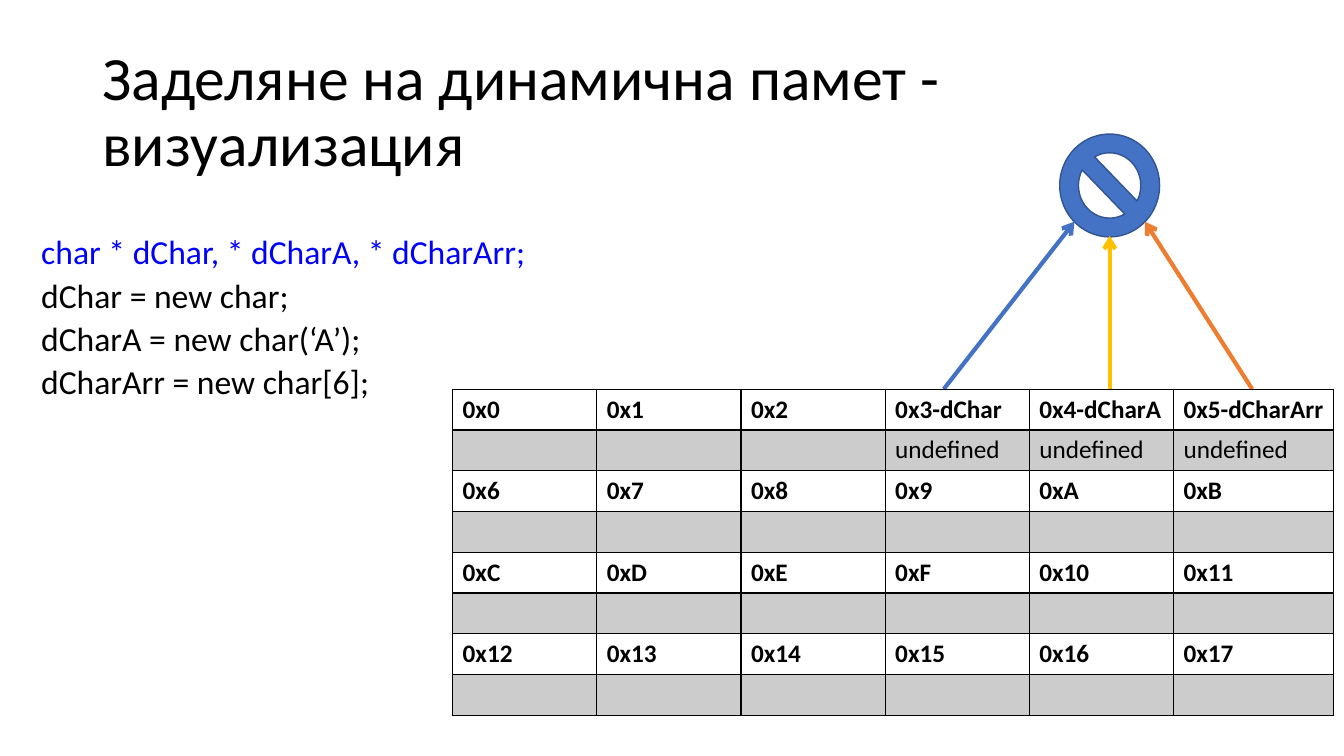
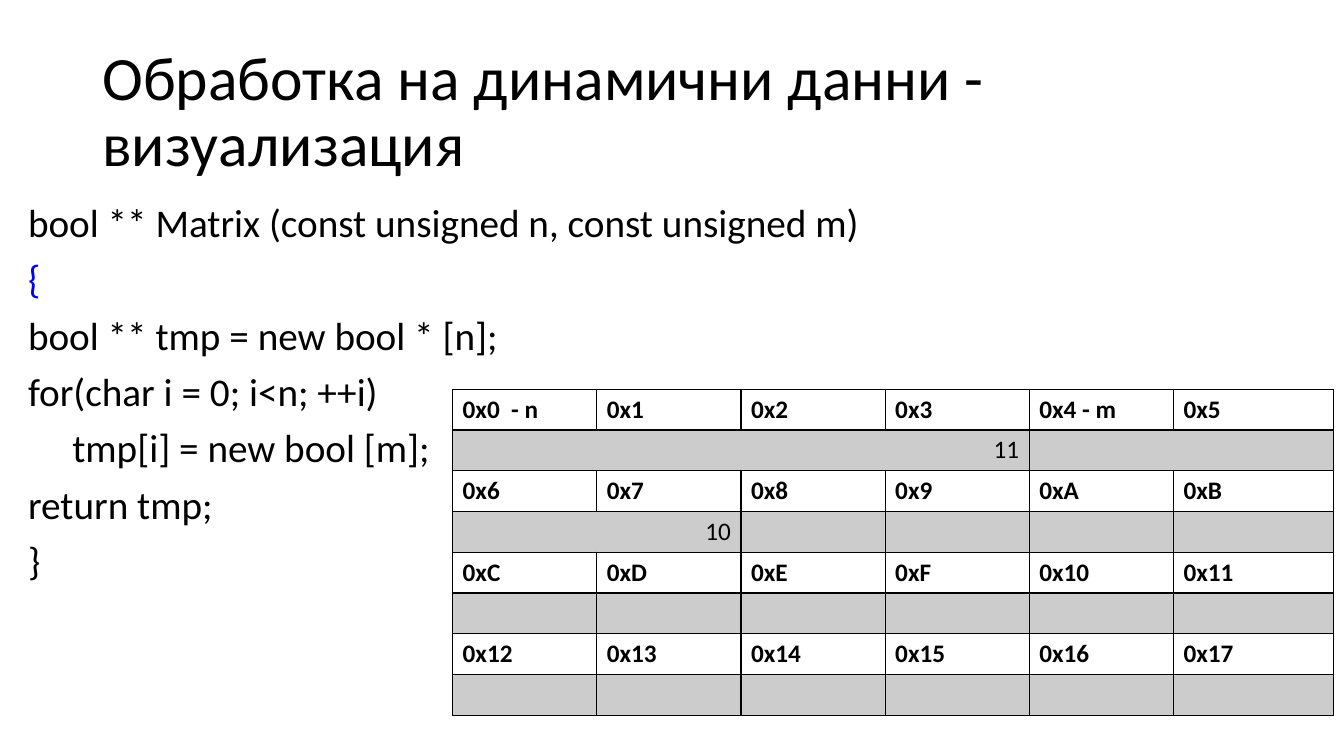
from dataclasses import dataclass
from typing import NamedTuple

from lxml import etree
from pptx import Presentation
from pptx.dml.color import RGBColor
from pptx.enum.shapes import MSO_CONNECTOR, MSO_SHAPE
from pptx.enum.text import MSO_ANCHOR, PP_ALIGN
from pptx.oxml.ns import qn
from pptx.util import Inches, Pt

STRAIGHT = MSO_CONNECTOR.STRAIGHT
NO_SMOKING = MSO_SHAPE.NO_SYMBOL
TOP, MIDDLE = MSO_ANCHOR.TOP, MSO_ANCHOR.MIDDLE
LEFT, RIGHT = PP_ALIGN.LEFT, PP_ALIGN.RIGHT

WIDTH, HEIGHT = Inches(13.33), Inches(7.5)
FONT = "Calibri"
COLORS = {
    "text": "000000",
    "current": "0000FF",
    "blue": "4472C4",
    "blue_edge": "325491",
    "gold": "FFC000",
    "orange": "ED7D31",
}


class Box(NamedTuple):
    """Left, top, width and height in percent of the slide."""

    left: float
    top: float
    width: float
    height: float


class Value(NamedTuple):
    text: str = ""
    span: int = 1
    align: PP_ALIGN = LEFT


class Pointer(NamedTuple):
    start: float
    end: float
    end_top: float
    color: str


@dataclass(frozen=True)
class Code:
    box: Box
    lines: list[str]
    current: int
    size: int
    gap: int


@dataclass(frozen=True)
class Memory:
    names: dict[int, str]
    values: dict[int, Value]


TITLE_BOX = Box(6.88, 5.33, 86.25, 19.33)
MEMORY_LEFT, MEMORY_TOP = 33.68, 51.47
COLUMN_WIDTH, LAST_WIDTH, ROW_HEIGHT = 10.73, 11.93, 5.4
COLUMNS, ADDRESS_ROWS = 6, 4

NULL_BOX = Box(78.85, 17.73, 7.43, 13.6)
NULL_CENTER = NULL_BOX.left + NULL_BOX.width / 2
NULL_SIDE = 2.62
POINTERS = [
    Pointer(70.22, NULL_CENTER - NULL_SIDE, 29.33, "blue"),
    Pointer(NULL_CENTER, NULL_CENTER, 31.2, "gold"),
    Pointer(93.17, NULL_CENTER + NULL_SIDE, 29.33, "orange"),
]

ALLOCATION_CODE = Code(
    Box(2.33, 30.53, 93.2, 62),
    [
        "char * dChar, * dCharA, * dCharArr;",
        "dChar = new char;",
        "dCharA = new char(‘A’);",
        "dCharArr = new char[6];",
    ],
    current=0, size=24, gap=5,
)
ALLOCATION_MEMORY = Memory(
    {3: "-dChar", 4: "-dCharA", 5: "-dCharArr"},
    {address: Value("undefined") for address in (3, 4, 5)},
)
MATRIX_CODE = Code(
    Box(1.35, 26.27, 86.25, 63.47),
    [
        "bool ** Matrix (const unsigned n, const unsigned m)",
        "{",
        "bool ** tmp = new bool * [n];",
        "for(char i = 0; i<n; ++i)",
        "     tmp[i] = new bool [m];",
        "return tmp;",
        "}",
    ],
    current=1, size=28, gap=10,
)
MATRIX_MEMORY = Memory(
    {0: "  - n", 4: " - m"},
    {0: Value("11", 4, RIGHT), 4: Value(span=2), 6: Value("10", 2, RIGHT)},
)


def across(share: float) -> int:
    return round(WIDTH * share / 100)


def down(share: float) -> int:
    return round(HEIGHT * share / 100)


def place(box: Box) -> tuple[int, int, int, int]:
    return across(box.left), down(box.top), across(box.width), down(box.height)


def rgb(name: str) -> RGBColor:
    return RGBColor.from_string(COLORS[name])


def style(paragraph, size: int, color: str = "text", bold: bool = False) -> None:
    font = paragraph.font
    font.name, font.size, font.bold = FONT, Pt(size), bold
    font.color.rgb = rgb(color)


def add_text(slide, box: Box, anchor: MSO_ANCHOR):
    frame = slide.shapes.add_textbox(*place(box)).text_frame
    frame.word_wrap = True
    frame.vertical_anchor = anchor
    return frame


def add_title(slide, title: str) -> None:
    paragraph = add_text(slide, TITLE_BOX, MIDDLE).paragraphs[0]
    paragraph.text = title
    paragraph.line_spacing = 0.9
    style(paragraph, 44)


def add_code(slide, code: Code) -> None:
    frame = add_text(slide, code.box, TOP)
    for index, line in enumerate(code.lines):
        paragraph = frame.add_paragraph() if index else frame.paragraphs[0]
        paragraph.text = line
        paragraph.line_spacing = 0.9
        if index:
            paragraph.space_before = Pt(code.gap)
        style(paragraph, code.size, "current" if index == code.current else "text")


def add_null(slide) -> None:
    null = slide.shapes.add_shape(NO_SMOKING, *place(NULL_BOX))
    null.shadow.inherit = False
    null.fill.solid()
    null.fill.fore_color.rgb = rgb("blue")
    null.line.color.rgb = rgb("blue_edge")
    null.line.width = Pt(1)


def add_pointer(slide, pointer: Pointer) -> None:
    arrow = slide.shapes.add_connector(
        STRAIGHT, across(pointer.start), down(MEMORY_TOP),
        across(pointer.end), down(pointer.end_top))
    arrow.line.color.rgb = rgb(pointer.color)
    arrow.line.width = Pt(3)
    properties = arrow._element.spPr
    etree.SubElement(properties.find(qn("a:ln")), qn("a:tailEnd"), type="arrow")
    etree.SubElement(properties, qn("a:effectLst"))


def add_borders(cell, row: int) -> None:
    properties = cell._tc.get_or_add_tcPr()
    widths = {"L": 1, "R": 1, "T": 2 if row == 1 else 1, "B": 2 if row == 0 else 1}
    for side, width in widths.items():
        line = etree.SubElement(properties, qn(f"a:ln{side}"), w=str(Pt(width)))
        fill = etree.SubElement(line, qn("a:solidFill"))
        etree.SubElement(fill, qn("a:srgbClr"), val=COLORS["text"])


def shade(cell) -> None:
    cell.fill.solid()
    cell.fill.fore_color.rgb = rgb("text")
    color = cell._tc.tcPr.find(qn("a:solidFill")).find(qn("a:srgbClr"))
    etree.SubElement(color, qn("a:alpha"), val="20000")


def write_cell(cell, text: str, bold: bool, align: PP_ALIGN = LEFT) -> None:
    paragraph = cell.text_frame.paragraphs[0]
    paragraph.text = text
    paragraph.alignment = align
    style(paragraph, 18, bold=bold)


def add_memory(slide, memory: Memory) -> None:
    widths = [COLUMN_WIDTH] * (COLUMNS - 1) + [LAST_WIDTH]
    rows = 2 * ADDRESS_ROWS
    box = Box(MEMORY_LEFT, MEMORY_TOP, sum(widths), rows * ROW_HEIGHT)
    table = slide.shapes.add_table(rows, COLUMNS, *place(box)).table
    table.first_row = table.horz_banding = False
    for column, width in zip(table.columns, widths):
        column.width = across(width)
    for row in table.rows:
        row.height = down(ROW_HEIGHT)
    for address in range(ADDRESS_ROWS * COLUMNS):
        band, column = divmod(address, COLUMNS)
        label, content = table.cell(2 * band, column), table.cell(2 * band + 1, column)
        add_borders(label, 2 * band)
        add_borders(content, 2 * band + 1)
        label.fill.background()
        shade(content)
        write_cell(label, f"0x{address:X}{memory.names.get(address, '')}", True)
        value = memory.values.get(address, Value())
        write_cell(content, value.text, False, value.align)
        if value.span > 1:
            content.merge(table.cell(2 * band + 1, column + value.span - 1))


def add_slide(deck, title: str, code: Code):
    slide = deck.slides.add_slide(deck.slide_layouts[6])
    add_title(slide, title)
    add_code(slide, code)
    return slide


def main() -> None:
    deck = Presentation()
    deck.slide_width, deck.slide_height = WIDTH, HEIGHT

    allocation = add_slide(
        deck, "Заделяне на динамична памет - визуализация", ALLOCATION_CODE)
    add_null(allocation)
    for pointer in POINTERS:
        add_pointer(allocation, pointer)
    add_memory(allocation, ALLOCATION_MEMORY)

    processing = add_slide(
        deck, "Обработка на динамични данни - визуализация", MATRIX_CODE)
    add_memory(processing, MATRIX_MEMORY)

    deck.save("out.pptx")


if __name__ == "__main__":
    main()
